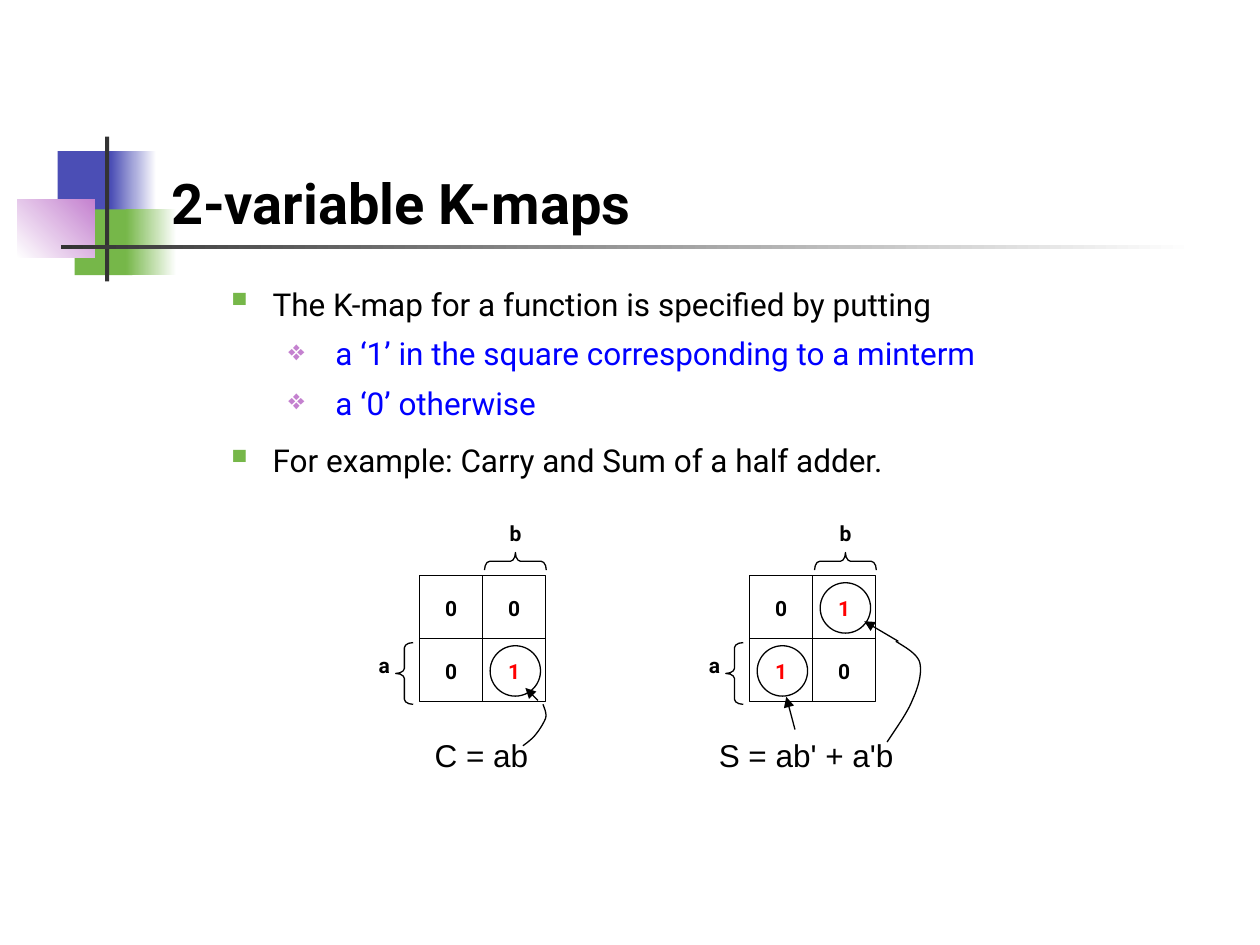
from dataclasses import dataclass

from lxml import etree
from pptx import Presentation
from pptx.dml.color import RGBColor
from pptx.enum.shapes import MSO_CONNECTOR, MSO_SHAPE
from pptx.enum.text import MSO_ANCHOR, PP_ALIGN
from pptx.oxml.ns import qn
from pptx.util import Pt

RECTANGLE = MSO_SHAPE.RECTANGLE
OVAL = MSO_SHAPE.OVAL
LEFT_BRACE = MSO_SHAPE.LEFT_BRACE
STRAIGHT = MSO_CONNECTOR.STRAIGHT
TOP, BOTTOM = MSO_ANCHOR.TOP, MSO_ANCHOR.BOTTOM
LEFT, CENTER, JUSTIFY = PP_ALIGN.LEFT, PP_ALIGN.CENTER, PP_ALIGN.JUSTIFY

COLORS = {
    "black": "000000",
    "white": "FFFFFF",
    "red": "FF0000",
    "blue": "0000FF",
    "indigo": "4B4EB5",
    "green": "76B749",
    "violet": "C481CF",
    "charcoal": "333333",
}
CELL = 36
CIRCLE = 28.8
MAP_TOP = 329
CURVE_STEPS = 12

Point = tuple[float, float]


@dataclass
class Block:
    left: float
    top: float
    width: float
    height: float
    color: str
    end_color: str = ""
    angle: float = 0


@dataclass
class Bullet:
    character: str
    color: str
    size: int
    margin: float
    indent: float


@dataclass
class Item:
    text: str
    color: str
    space: float
    bullet: Bullet
    level: int = 0


@dataclass
class KMap:
    left: float
    values: tuple[str, str]
    formula: str
    formula_shift: float


BLOCKS = [
    Block(33, 86.4, 34.8, 37.5, "indigo"),
    Block(63.3, 86.4, 26, 37.5, "indigo", "white"),
    Block(42.7, 119.7, 33, 37.5, "green"),
    Block(72, 119.7, 28.8, 37.5, "green", "white"),
    Block(9.75, 113.8, 44.5, 33.5, "white", "violet", 45),
    Block(60, 78, 2.4, 82.8, "charcoal"),
    Block(34.8, 140, 648, 2.6, "charcoal", "white"),
]
SQUARE = Bullet("▪", "green", 120, 27, -27)
DIAMOND = Bullet("❖", "violet", 90, 58.5, -22.5)
ITEMS = [
    Item("The K-map for a function is specified by putting", "black", 4.5, SQUARE),
    Item(" a ‘1’ in the square corresponding to a minterm", "blue", 6.8, DIAMOND, 1),
    Item(" a ‘0’ otherwise", "blue", 6.8, DIAMOND, 1),
    Item("For example: Carry and Sum of a half adder.", "black", 11.2, SQUARE),
]
MAPS = [
    KMap(239.8, ("00", "01"), "C = ab", -23),
    KMap(428.4, ("01", "10"), "S = ab' + a'b", -26),
]
ARROWS = [
    ((307.4, 400.3), (300.2, 393.1)),
    ((454.3, 416.9), (449.3, 398.2)),
    ((513.4, 366.5), (493.9, 355)),
]
CURVES = [
    [(310.3, 402.5), (311, 404.6), (312.5, 407.5), (311.8, 410.4),
     (311, 412.6), (308.9, 416.2), (306.7, 419),
     (304.6, 421.9), (301.7, 424.1), (298.8, 426.2)],
    [(511.9, 366.5), (517.7, 370.1), (524.2, 373.7), (525.6, 378.7),
     (527, 384.5), (524.9, 392.4), (521.3, 400.3),
     (518.4, 407.5), (512.6, 415.4), (506.9, 424.1)],
]


def rgb(name: str) -> RGBColor:
    return RGBColor.from_string(COLORS[name])


def outline(line) -> None:
    line.color.rgb = rgb("black")
    line.width = Pt(0.75)


def add_block(page, block: Block) -> None:
    shape = page.shapes.add_shape(
        RECTANGLE, Pt(block.left), Pt(block.top), Pt(block.width), Pt(block.height))
    shape.shadow.inherit = False
    shape.line.fill.background()
    if not block.end_color:
        shape.fill.solid()
        shape.fill.fore_color.rgb = rgb(block.color)
        return
    shape.fill.gradient()
    shape.fill.gradient_angle = block.angle
    for stop, color in zip(shape.fill.gradient_stops, (block.color, block.end_color)):
        stop.color.rgb = rgb(color)


def add_outline(page, kind, left: float, top: float, width: float, height: float):
    shape = page.shapes.add_shape(kind, Pt(left), Pt(top), Pt(width), Pt(height))
    shape.shadow.inherit = False
    shape.fill.background()
    outline(shape.line)
    return shape


def add_brace(page, left: float, top: float, rotation: float = 0) -> None:
    brace = add_outline(page, LEFT_BRACE, left, top, 10, 35.3)
    brace.adjustments[0] = 0.29
    brace.rotation = rotation


def add_line(page, start: Point, end: Point, arrow: bool = False) -> None:
    line = page.shapes.add_connector(
        STRAIGHT, Pt(start[0]), Pt(start[1]), Pt(end[0]), Pt(end[1]))
    outline(line.line)
    properties = line._element.spPr
    if arrow:
        etree.SubElement(properties.find(qn("a:ln")), qn("a:tailEnd"), type="triangle")
    etree.SubElement(properties, qn("a:effectLst"))


def bezier(points: list[Point], t: float) -> Point:
    weights = ((1 - t) ** 3, 3 * t * (1 - t) ** 2, 3 * t * t * (1 - t), t ** 3)
    x, y = (sum(w * p[axis] for w, p in zip(weights, points)) for axis in (0, 1))
    return Pt(x), Pt(y)


def add_curve(page, points: list[Point]) -> None:
    samples = [bezier(points[first:first + 4], step / CURVE_STEPS)
               for first in range(0, len(points) - 1, 3)
               for step in range(1, CURVE_STEPS + 1)]
    builder = page.shapes.build_freeform(Pt(points[0][0]), Pt(points[0][1]))
    builder.add_line_segments(samples, close=False)
    curve = builder.convert_to_shape()
    curve.shadow.inherit = False
    curve.fill.background()
    outline(curve.line)


def add_box(page, left: float, top: float, width: float, height: float, anchor=TOP):
    box = page.shapes.add_textbox(Pt(left), Pt(top), Pt(width), Pt(height))
    box.text_frame.word_wrap = True
    box.text_frame.vertical_anchor = anchor
    return box.text_frame.paragraphs[0]


def write(para, text: str, *, size: float = 12, font: str = "Roboto",
          color: str = "black", bold: bool = False, align=CENTER) -> None:
    para.alignment = align
    span = para.add_run()
    span.text = text
    span.font.size = Pt(size)
    span.font.name = font
    span.font.bold = bold
    span.font.color.rgb = rgb(color)


def set_bullet(para, bullet: Bullet) -> None:
    properties = para._p.get_or_add_pPr()
    properties.set("marL", str(Pt(bullet.margin)))
    properties.set("indent", str(Pt(bullet.indent)))
    color = etree.SubElement(properties, qn("a:buClr"))
    etree.SubElement(color, qn("a:srgbClr"), val=COLORS[bullet.color])
    etree.SubElement(properties, qn("a:buSzPct"), val=str(bullet.size * 1000))
    etree.SubElement(properties, qn("a:buChar"), char=bullet.character)


def add_items(page, items: list[Item]) -> None:
    para = add_box(page, 121.7, 159.1, 581, 149.8)
    frame = para._parent
    for index, item in enumerate(items):
        para = frame.add_paragraph() if index else para
        para.level = item.level
        para.space_before = Pt(item.space)
        set_bullet(para, item.bullet)
        write(para, item.text, size=18, color=item.color, align=JUSTIFY)


def add_map(page, kmap: KMap) -> None:
    left, side = kmap.left, 2 * CELL
    add_outline(page, RECTANGLE, left, MAP_TOP, side, side)
    add_line(page, (left, MAP_TOP + CELL), (left + side, MAP_TOP + CELL))
    add_line(page, (left + CELL, MAP_TOP), (left + CELL, MAP_TOP + side))
    for row, values in enumerate(kmap.values):
        for column, value in enumerate(values):
            x, y = left + column * CELL, MAP_TOP + row * CELL
            color = "red" if value == "1" else "black"
            write(add_box(page, x, y + 7.5, CELL, 28.8), value, color=color, bold=True)
            if value == "1":
                add_outline(page, OVAL, x + 4.3, y + 4, CIRCLE, CIRCLE)
    write(add_box(page, left - 36, MAP_TOP + 40.3, 31.7, 28.8), "a", bold=True)
    write(add_box(page, left + 38.9, MAP_TOP - 35.3, 31.7, 23), "b", bold=True)
    add_brace(page, left - 13.7, MAP_TOP + 38.2)
    add_brace(page, left + 49.7, MAP_TOP - 25.9, 90)
    write(add_box(page, left + kmap.formula_shift, 416.9, 116.6, 28.8),
          kmap.formula, size=18, font="Arial")


def main() -> None:
    deck = Presentation()
    deck.slide_width, deck.slide_height = Pt(720), Pt(540)
    page = deck.slides.add_slide(deck.slide_layouts[6])
    for block in BLOCKS:
        add_block(page, block)
    title = add_box(page, 90.7, 48.2, 613.4, 90, BOTTOM)
    write(title, "2-variable K-maps", size=32, bold=True, align=LEFT)
    add_items(page, ITEMS)
    for kmap in MAPS:
        add_map(page, kmap)
    for start, end in ARROWS:
        add_line(page, start, end, arrow=True)
    for points in CURVES:
        add_curve(page, points)
    deck.save("out.pptx")


if __name__ == "__main__":
    main()
